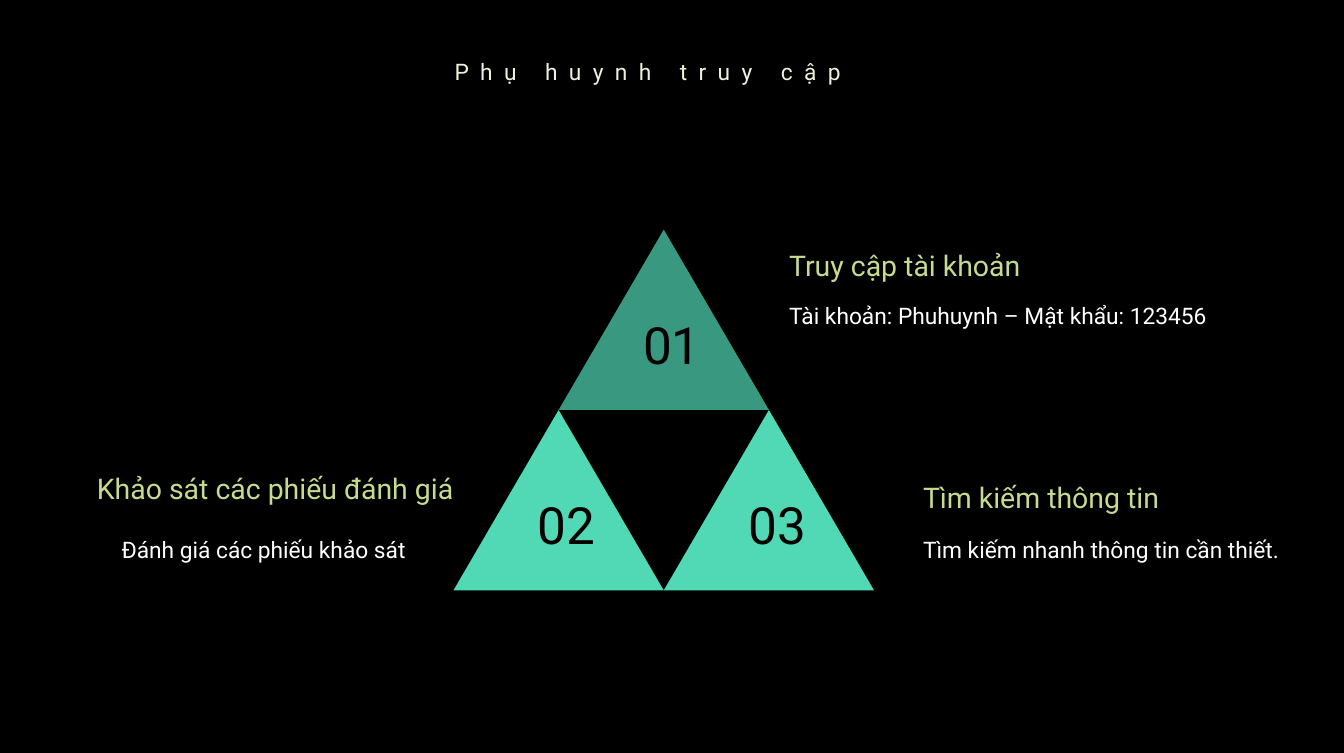
import pptx
import pptx.dml.color
import pptx.enum.shapes
import pptx.enum.text
import pptx.util

RGBColor = pptx.dml.color.RGBColor
Align = pptx.enum.text.PP_ALIGN
Inches = pptx.util.Inches

BLACK = RGBColor(0x00, 0x00, 0x00)
WHITE = RGBColor(0xFF, 0xFF, 0xFF)
CREAM = RGBColor(0xEC, 0xF3, 0xDA)
LIME = RGBColor(0xC5, 0xDC, 0x8F)
MINT = RGBColor(0x51, 0xD9, 0xB5)
DARK_MINT = RGBColor(0x39, 0x99, 0x80)

SLIDE_SIZE = (9.84, 5.51)
TITLE = "Phụ huynh truy cập"
TITLE_BOX = (3.23, 0.27, 3.24, 0.37)
LETTER_SPACING = 600  # hundredths of a point

# Column counts half triangles, row counts whole triangles.
STEPS = [
    {"number": "02", "column": 0, "row": 1, "fill": MINT, "align": Align.RIGHT,
     "heading": "Khảo sát các phiếu đánh giá", "heading_box": (0.55, 3.27, 2.87, 0.43),
     "detail": "Đánh giá các phiếu khảo sát", "detail_box": (0.39, 3.77, 2.68, 0.37)},
    {"number": "03", "column": 2, "row": 1, "fill": MINT, "align": Align.LEFT,
     "heading": "Tìm kiếm thông tin", "heading_box": (6.66, 3.34, 2.36, 0.43),
     "detail": "Tìm kiếm nhanh thông tin cần thiết.", "detail_box": (6.66, 3.77, 3.06, 0.37)},
    {"number": "01", "column": 1, "row": 0, "fill": DARK_MINT, "align": Align.LEFT,
     "heading": "Truy cập tài khoản", "heading_box": (5.68, 1.64, 2.32, 0.43),
     "detail": "Tài khoản: Phuhuynh – Mật khẩu: 123456", "detail_box": (5.68, 2.06, 3.5, 0.4)},
]

PYRAMID_LEFT, PYRAMID_TOP = 3.32, 1.68
TRIANGLE_WIDTH, TRIANGLE_HEIGHT = 1.54, 1.32
NUMBER_OFFSET = (0.52, 0.56)
NUMBER_SIZE = (0.62, 0.56)

NUMBER_STYLE = {"size": 27, "color": BLACK, "spacing": 1.0, "wrap": False}
HEADING_STYLE = {"size": 15, "color": LIME, "spacing": 1.5, "wrap": True}
DETAIL_STYLE = {"size": 12, "color": WHITE, "spacing": 1.5, "wrap": True}
TITLE_STYLE = {**DETAIL_STYLE, "color": CREAM}


def add_text(shapes, text, box, style, align=Align.LEFT):
    """Add a one-line text box and return its run."""
    frame = shapes.add_textbox(*map(Inches, box)).text_frame
    frame.word_wrap = style["wrap"]
    frame.auto_size = pptx.enum.text.MSO_AUTO_SIZE.SHAPE_TO_FIT_TEXT
    paragraph = frame.paragraphs[0]
    paragraph.alignment = align
    paragraph.line_spacing = style["spacing"]
    run = paragraph.add_run()
    run.text = text
    run.font.name = "Roboto"
    run.font.size = pptx.util.Pt(style["size"])
    run.font.color.rgb = style["color"]
    return run


def add_step(slide, step):
    shapes = slide.shapes.add_group_shape().shapes
    left = PYRAMID_LEFT + step["column"] * TRIANGLE_WIDTH / 2
    top = PYRAMID_TOP + step["row"] * TRIANGLE_HEIGHT
    triangle = shapes.add_shape(
        pptx.enum.shapes.MSO_SHAPE.ISOSCELES_TRIANGLE,
        *map(Inches, (left, top, TRIANGLE_WIDTH, TRIANGLE_HEIGHT)))
    triangle.shadow.inherit = False
    triangle.fill.solid()
    triangle.fill.fore_color.rgb = step["fill"]
    triangle.line.fill.background()

    number_box = (left + NUMBER_OFFSET[0], top + NUMBER_OFFSET[1], *NUMBER_SIZE)
    add_text(shapes, step["number"], number_box, NUMBER_STYLE)
    add_text(shapes, step["detail"], step["detail_box"], DETAIL_STYLE, step["align"])
    add_text(shapes, step["heading"], step["heading_box"], HEADING_STYLE, step["align"])


def main():
    presentation = pptx.Presentation()
    presentation.slide_width, presentation.slide_height = map(Inches, SLIDE_SIZE)
    slide = presentation.slides.add_slide(presentation.slide_layouts[6])
    slide.background.fill.solid()
    slide.background.fill.fore_color.rgb = BLACK

    for step in STEPS:
        add_step(slide, step)
    title = add_text(slide.shapes, TITLE, TITLE_BOX, TITLE_STYLE)
    title._r.get_or_add_rPr().set("spc", str(LETTER_SPACING))

    presentation.save("out.pptx")


if __name__ == "__main__":
    main()
